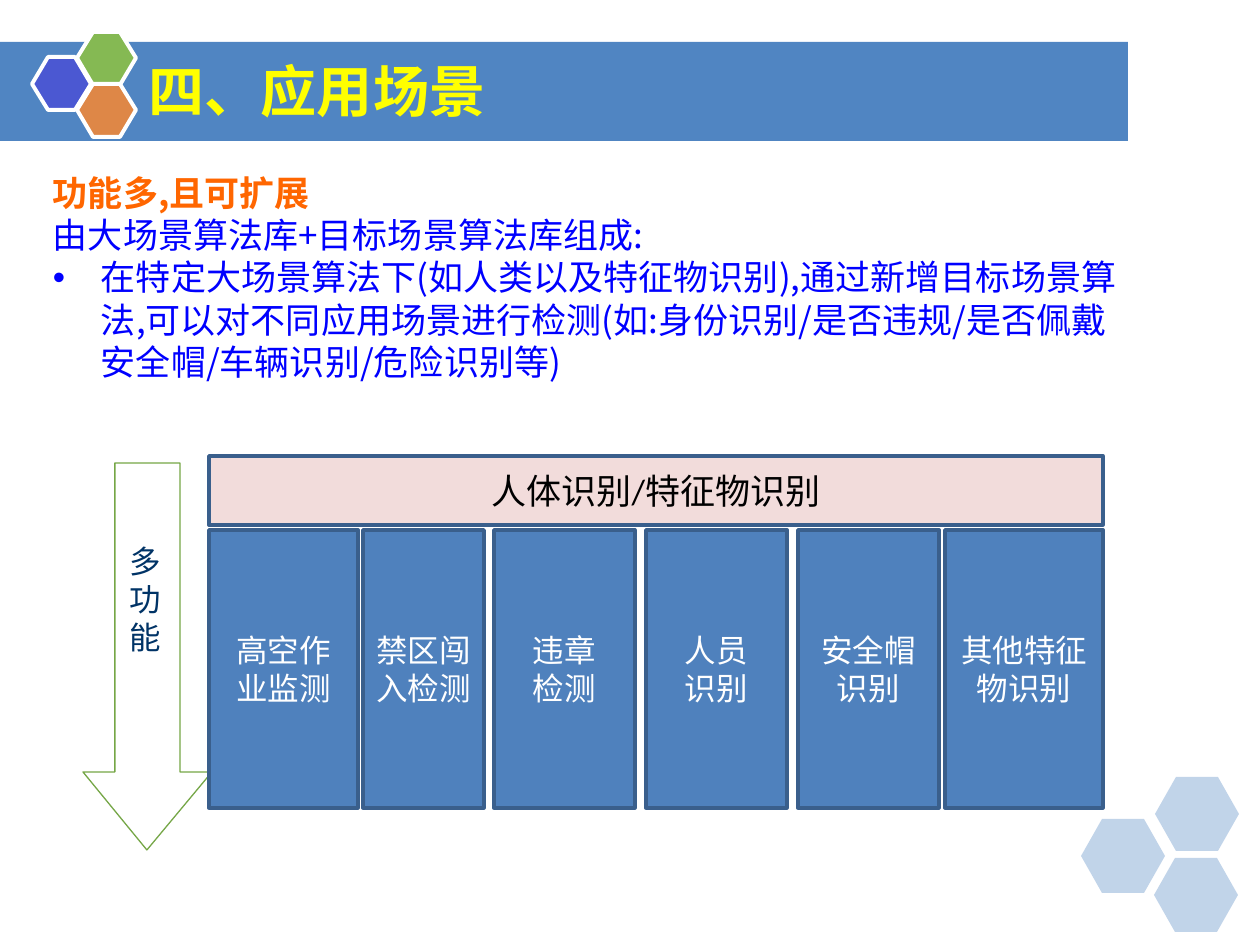
from lxml.etree import SubElement
from pptx import Presentation
from pptx.dml.color import RGBColor
from pptx.enum.shapes import MSO_SHAPE
from pptx.enum.text import MSO_ANCHOR, PP_ALIGN
from pptx.oxml.ns import qn
from pptx.util import Inches, Pt

PX = Inches(1) / 126
CJK = "Noto Sans CJK SC"
COLORS = {
    "band": "5085C2", "purple": "4B58D2", "green": "85B953", "orange": "DE8747",
    "white": "FFFFFF", "yellow": "FFFF00", "heading": "FF6600", "body": "0000FF",
    "arrow": "75A646", "navy": "003366", "black": "000000",
    "pink": "F2DCDB", "box": "4F81BD", "box_line": "3A5F8C",
}

TITLE = "四、应用场景"
BODY = [
    ("功能多,且可扩展", "heading"),
    ("由大场景算法库+目标场景算法库组成:", "body"),
    ("在特定大场景算法下(如人类以及特征物识别),通过新增目标场景算法,可以对不同应用场景"
     "进行检测(如:身份识别/是否违规/是否佩戴安全帽/车辆识别/危险识别等)", "body"),
]
ARROW_LABEL = "多 功 能"
BASE = "人体识别/特征物识别"
# text, left, width
FUNCTIONS = [
    ("高空作业监测", 209, 149),
    ("禁区闯入检测", 363, 121),
    ("违章\n检测", 494, 141),
    ("人员\n识别", 646, 141),
    ("安全帽识别", 798, 141),
    ("其他特征物识别", 945, 158),
]
PALE_HEXAGONS = [(1081, 819), (1155, 777), (1154, 858)]
BADGE_HEXAGONS = [(32, 57, "purple"), (77, 32, "green"), (77, 84, "orange")]


def px(*lengths):
    return [round(n * PX) for n in lengths]


def rgb(name):
    return RGBColor.from_string(COLORS[name])


def paint(s, fill=None, line=None, width=1):
    s.shadow.inherit = False
    if fill:
        s.fill.solid()
        s.fill.fore_color.rgb = rgb(fill)
    else:
        s.fill.background()
    if line:
        s.line.color.rgb = rgb(line)
        s.line.width = Pt(width)
    else:
        s.line.fill.background()


def style(p, size, color, bold=False, font=CJK):
    for r in p.runs:
        r.font.size = Pt(size)
        r.font.bold = bold
        r.font.color.rgb = rgb(color)
        r.font.name = font
        SubElement(r.font._element, qn("a:ea"), typeface=CJK)


def polygon(slide, points):
    builder = slide.shapes.build_freeform(*points[0], scale=PX)
    builder.add_line_segments(points[1:], close=True)
    return builder.convert_to_shape()


def hexagon(slide, x, y, w, h, inset):
    return polygon(slide, [
        (x, y + h / 2), (x + inset, y), (x + w - inset, y),
        (x + w, y + h / 2), (x + w - inset, y + h), (x + inset, y + h)])


def text_box(slide, x, y, w, h):
    tf = slide.shapes.add_textbox(*px(x, y, w, h)).text_frame
    tf.word_wrap = True
    tf.margin_left = tf.margin_right = tf.margin_bottom = 0
    tf.margin_top = px(1)[0]
    return tf


def labelled_box(slide, text, x, y, w, h, fill, color, size):
    s = slide.shapes.add_shape(MSO_SHAPE.RECTANGLE, *px(x, y, w, h))
    paint(s, fill, "box_line", 2)
    tf = s.text_frame
    tf.word_wrap = True
    tf.vertical_anchor = MSO_ANCHOR.MIDDLE
    tf.text = text
    for p in tf.paragraphs:
        p.alignment = PP_ALIGN.CENTER
        style(p, size, color, font="Calibri")


def add_bullet(p, indent):
    pPr = p._p.get_or_add_pPr()
    pPr.set("marL", str(indent))
    pPr.set("indent", str(-indent))
    SubElement(pPr, qn("a:buFont"), typeface="Arial")
    SubElement(pPr, qn("a:buChar"), char="•")


def draw_template(slide):
    band = slide.shapes.add_shape(MSO_SHAPE.RECTANGLE, *px(0, 42, 1128, 99))
    paint(band, "band")
    for x, y in PALE_HEXAGONS:
        s = hexagon(slide, x, y, 84, 74, 21)
        paint(s, "band")
        color = s.fill._xPr.find(qn("a:solidFill"))[0]
        SubElement(color, qn("a:alpha"), val="35000")
    for x, y, fill in BADGE_HEXAGONS:
        paint(hexagon(slide, x, y, 59, 53, 16), fill, "white", 2.25)


def draw_text(slide):
    tf = text_box(slide, 53, 171, 1084, 214)
    tf.text = "\n".join(text for text, _ in BODY)
    for p, (_, color) in zip(tf.paragraphs, BODY):
        style(p, 20, color, bold=color == "heading")
    tf.paragraphs[0].space_before = Pt(1.1)
    add_bullet(tf.paragraphs[-1], px(48)[0])

    tf = text_box(slide, 149, 55, 566, 69)
    tf.text = TITLE
    tf.paragraphs[0].space_before = Pt(1.1)
    style(tf.paragraphs[0], 32, "yellow", bold=True)


def draw_diagram(slide):
    arrow = polygon(slide, [
        (83, 772), (115, 772), (115, 463), (180, 463),
        (180, 772), (212, 772), (147, 850)])
    paint(arrow, line="arrow", width=0.75)
    tf = text_box(slide, 130, 541, 35, 117)
    tf.text = ARROW_LABEL
    p = tf.paragraphs[0]
    p.alignment = PP_ALIGN.JUSTIFY
    p.space_before = Pt(0.9)
    style(p, 18, "navy")

    labelled_box(slide, BASE, 209, 456, 894, 69, "pink", "black", 20)
    for text, x, w in FUNCTIONS:
        labelled_box(slide, text, x, 530, w, 278, "box", "white", 18)


def main():
    prs = Presentation()
    prs.slide_width, prs.slide_height = Inches(10), Inches(7.5)
    slide = prs.slides.add_slide(prs.slide_layouts[6])
    draw_template(slide)
    draw_text(slide)
    draw_diagram(slide)
    prs.save("out.pptx")


if __name__ == "__main__":
    main()
